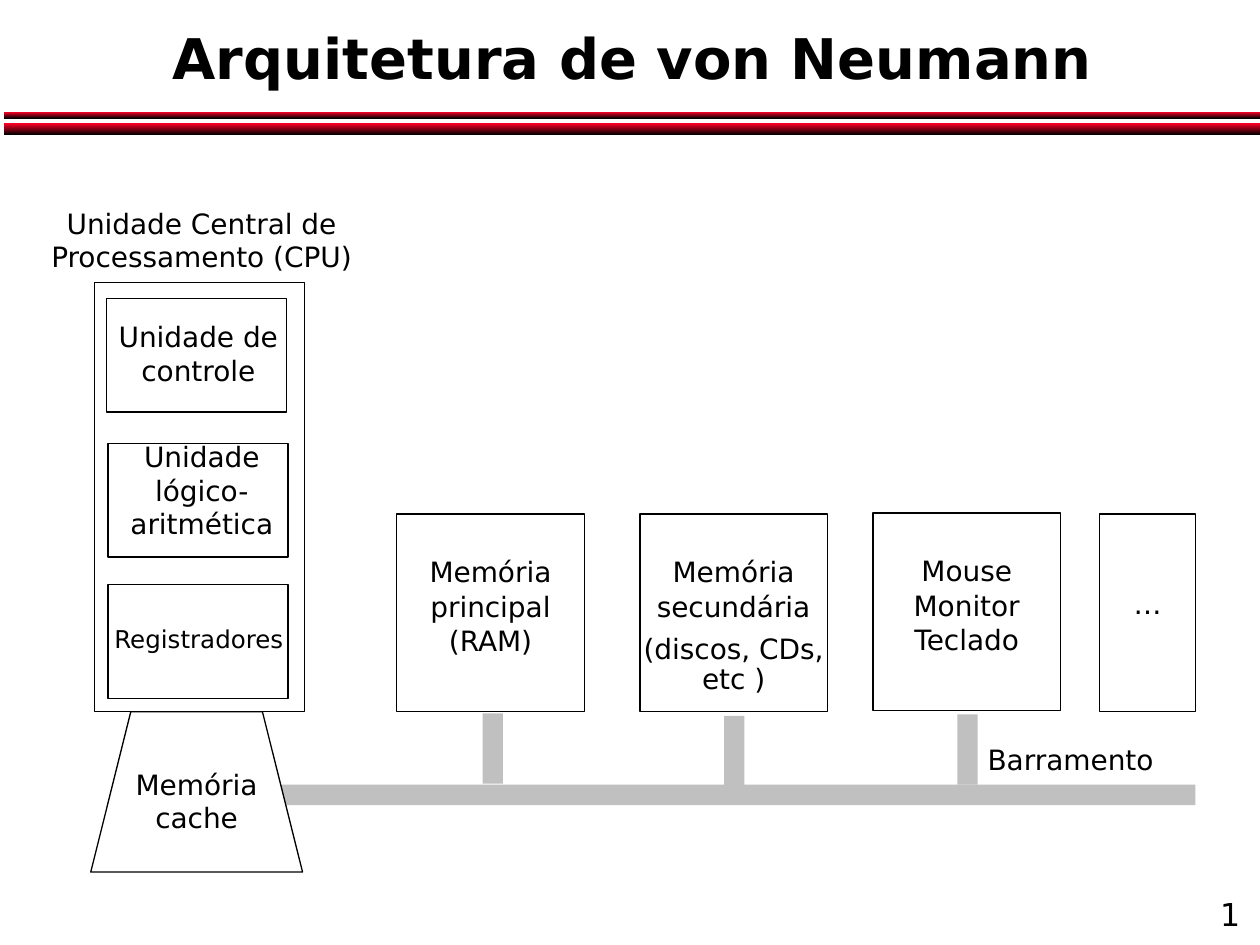
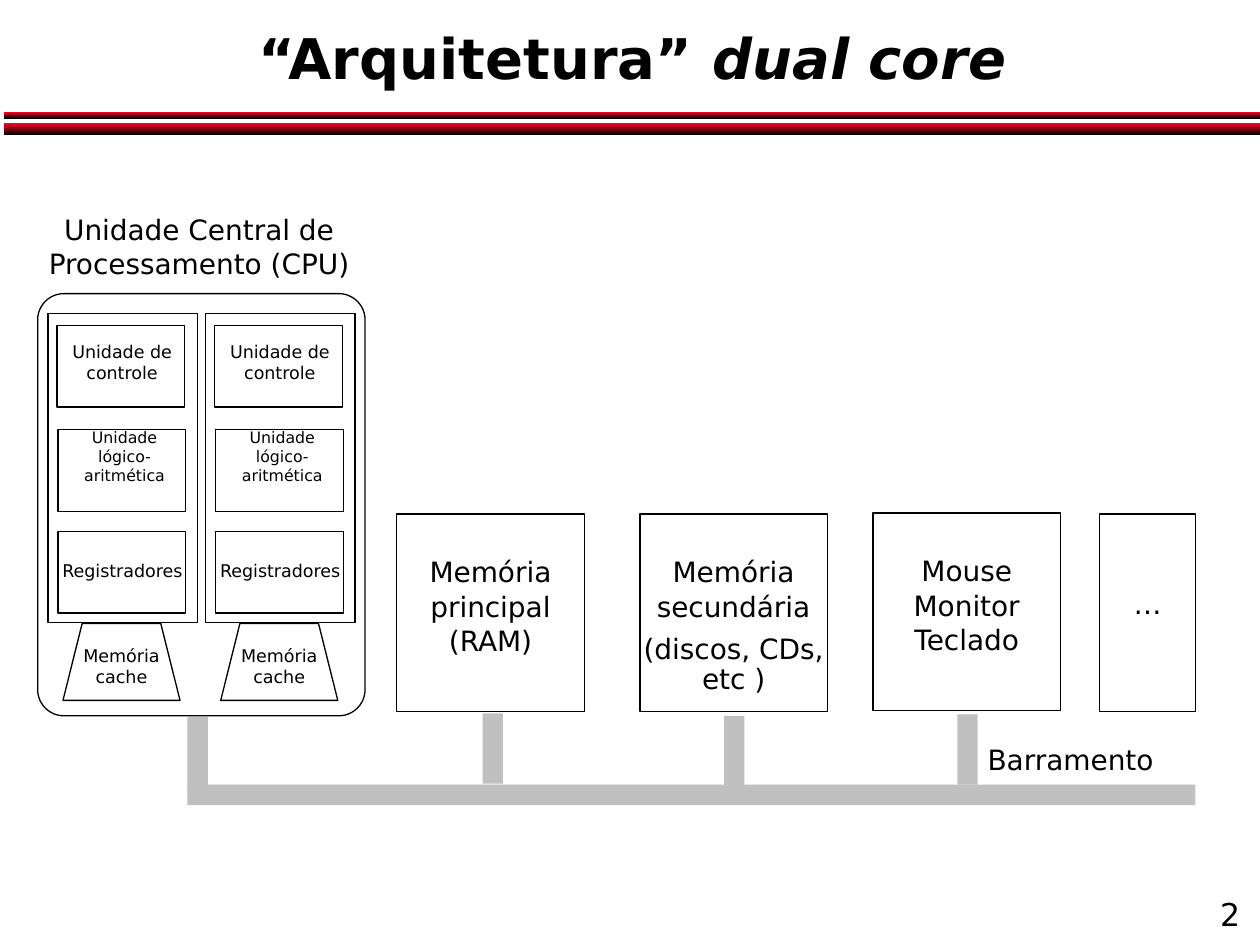
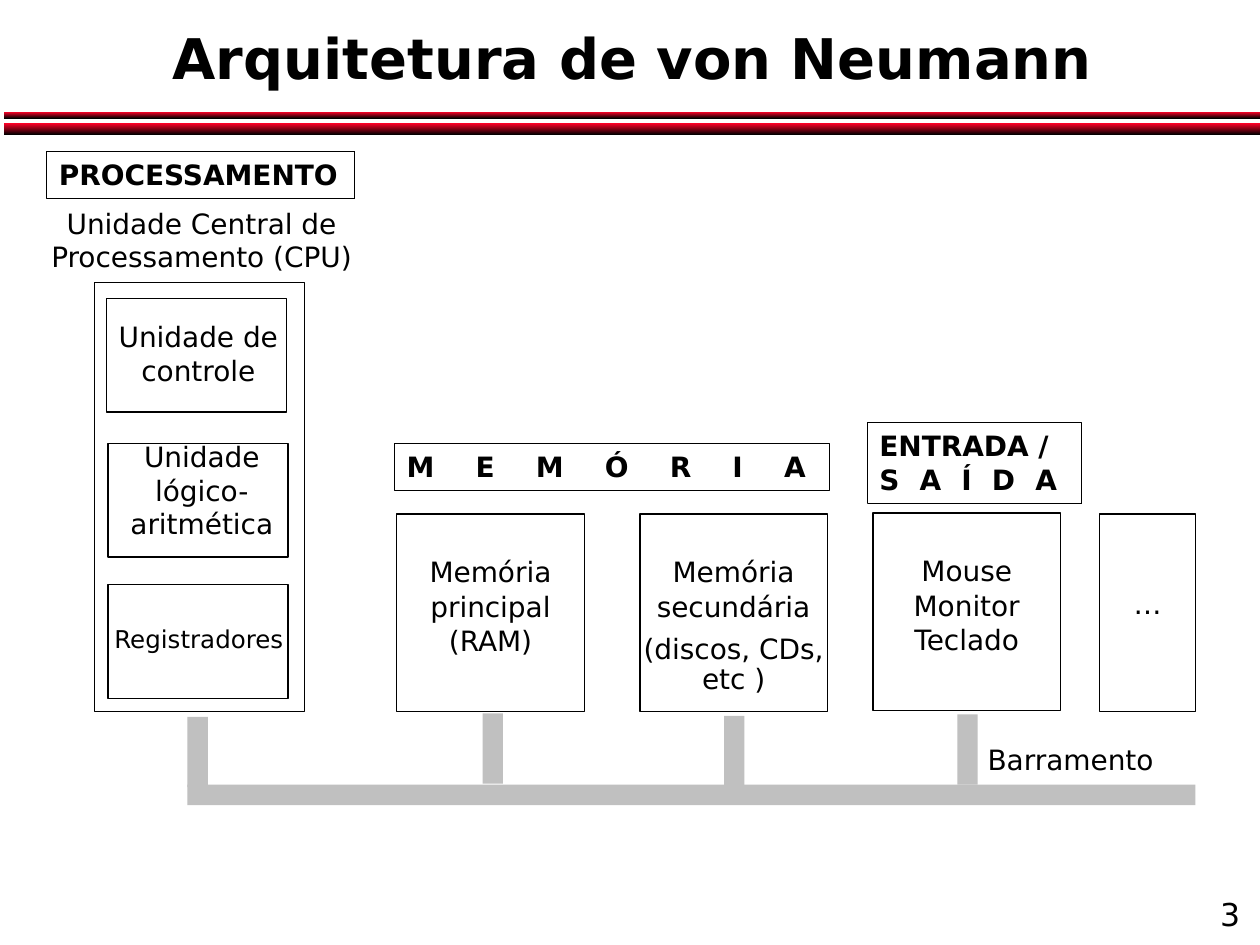
from pptx import Presentation
from pptx import util as u
from pptx.dml.color import RGBColor
from pptx.enum import dml, shapes, text
from pptx.oxml import parse_xml
from pptx.oxml.ns import nsdecls

FONT = "DejaVu Sans"
BLACK, WHITE, RED, GREY = "000000", "FFFFFF", "FC0128", "C0C0C0"
KIND = shapes.MSO_SHAPE
LEFT, MID, RIGHT = text.PP_ALIGN.LEFT, text.PP_ALIGN.CENTER, text.PP_ALIGN.RIGHT
THIN = (0.05,) * 4  # text margins: left, top, right, bottom
WIDE = (0.25, 0.13, 0.25, 0.13)


def color(code):
    return RGBColor.from_string(code)


def cm(*nums):
    return [u.Cm(n) for n in nums]


def style(run, size, bold=False, italic=False, space=0):
    font = run.font
    font.name, font.size = FONT, u.Pt(size)
    font.bold, font.italic = bold, italic
    font.color.rgb = color(BLACK)
    if space:  # letter spacing in points
        run._r.get_or_add_rPr().set("spc", str(space * 100))


def write(shape, words, size=16, align=MID, pad=THIN, wrap=True, gap=0,
          anchor=text.MSO_ANCHOR.TOP, **look):
    """Write one paragraph per line of words; gap is the space between them."""
    frame = shape.text_frame
    frame.word_wrap, frame.vertical_anchor = wrap, anchor
    (frame.margin_left, frame.margin_top,
     frame.margin_right, frame.margin_bottom) = cm(*pad)
    for i, line in enumerate(words.split("\n")):
        para = frame.add_paragraph() if i else frame.paragraphs[0]
        para.alignment = align
        para.space_before = u.Pt(gap if i else 0)
        run = para.add_run()
        run.text = line
        style(run, size, **look)
    return frame


def draw(slide, kind, place, fill=None, line=None, width=0.75):
    shape = slide.shapes.add_shape(kind, *cm(*place))
    shape.shadow.inherit = False
    if fill:
        shape.fill.solid()
        shape.fill.fore_color.rgb = color(fill)
    else:
        shape.fill.background()
    if line:
        shape.line.color.rgb = color(line)
        shape.line.width = u.Pt(width)
    else:
        shape.line.fill.background()
    return shape


def label(slide, place, words, **look):
    return write(slide.shapes.add_textbox(*cm(*place)), words, **look)


def frame_box(slide, place):
    return draw(slide, KIND.RECTANGLE, place, line=BLACK)


def start(deck, title, number, slant=""):
    """Add a slide with its title, red bands and number."""
    slide = deck.slides.add_slide(deck.slide_layouts[5])
    for top, high in ((2.49, 0.23), (2.26, 0.13)):
        band = draw(slide, KIND.RECTANGLE, (0.08, top, 25.32, high))
        band.fill.gradient()
        band.fill.gradient_angle = 270
        for stop, code in zip(band.fill.gradient_stops, (RED, BLACK)):
            stop.color.rgb = color(code)

    head = slide.shapes.title
    head.left, head.top, head.width, head.height = cm(0.74, 0, 24.03, 2.31)
    frame = write(head, title, size=32, pad=WIDE, bold=True,
                  anchor=text.MSO_ANCHOR.MIDDLE)
    if slant:
        run = frame.paragraphs[0].add_run()
        run.text = slant
        style(run, 32, bold=True, italic=True)

    # Slide number as a live field
    frame = label(slide, (23.47, 17.91, 1.78, 0.94), str(number), size=18,
                  align=RIGHT, pad=WIDE)
    run = frame.paragraphs[0].runs[0]._r
    field = parse_xml(f'<a:fld {nsdecls("a")} type="slidenum" '
                      'id="{B6F15528-21DE-4FAA-801E-634DDDAF4B2B}"/>')
    run.addprevious(field)
    field.extend(list(run))
    run.getparent().remove(run)
    return slide


def bus(slide):
    """The grey bus, its branches and its name."""
    draw(slide, KIND.RECTANGLE, (3.78, 15.82, 20.32, 0.41), fill=GREY)
    for left, top in ((3.78, 14.45), (9.73, 14.38), (14.6, 14.43), (19.3, 14.4)):
        draw(slide, KIND.RECTANGLE, (left, top, 0.41, 1.42), fill=GREY)
    label(slide, (19.86, 14.91, 3.76, 0.79), "Barramento", align=LEFT)


def units(slide):
    """Memory and device boxes above the bus."""
    rows = (
        (8, 10.36, 3.78, 0.81, "Memória\nprincipal\n(RAM)"),
        (12.9, 10.36, 3.78, 0.81, "Memória\nsecundária\n(discos, CDs, etc )"),
        (17.6, 10.34, 3.78, 0.81, "Mouse\nMonitor\nTeclado"),
        (22.17, 10.36, 1.93, 1.47, "…"),
    )
    for left, top, wide, drop, words in rows:
        box = frame_box(slide, (left, top, wide, 3.99))
        frame = write(box, words, pad=(0.05, drop, 0.05, 0.05), gap=0.8)
        if "discos" in words:
            last = frame.paragraphs[-1]
            last.line_spacing, last.space_before = 0.9, u.Pt(7)


def core(slide, left, top, sizes, wide=1, high=1):
    """A processor core; wide and high scale it."""
    def spot(x, y, w, h):
        return left + x * wide, top + y * high, w * wide, h * high

    frame_box(slide, spot(0, 0, 4.24, 8.66))
    parts = (
        ((0.25, 0.33), (0.41, 0.71, 3.38, 1.47), "Unidade de controle"),
        ((0.28, 3.25), (0.48, 3.12, 3.38, 2.13), "Unidade lógico-aritmética"),
        ((0.28, 6.1), (0.33, 6.83, 3.56, 0.69), "Registradores"),
    )
    for (x, y), place, words in parts:
        frame_box(slide, spot(x, y, 3.63, 2.29))
    for (_, place, words), size in zip(parts, sizes):
        label(slide, spot(*place), words, size=size, wrap=" " in words)


def cache(slide, place, size, drop):
    shape = draw(slide, KIND.TRAPEZOID, place, fill=WHITE, line=BLACK)
    write(shape, "Memória cache", size=size, pad=(0.05, drop, 0.05, 0.05))


def cpu(slide, left, top):
    label(slide, (left, top, 7.01, 1.47), "Unidade Central de Processamento (CPU)")


def single(slide):
    """The machine with one core."""
    bus(slide)
    units(slide)
    cpu(slide, 0.56, 4.11)
    core(slide, 1.9, 5.69, (16, 16, 14))


def tag(slide, place, words):
    """A dotted box that names a group."""
    box = draw(slide, KIND.RECTANGLE, place, line=BLACK, width=0.25)
    box.line.dash_style = dml.MSO_LINE.ROUND_DOT
    return write(box, words, align=LEFT, pad=(0.25, 0.13, 0, 0.13), bold=True)


def spread(para, space):
    style(para.runs[0], 16, bold=True, space=space)


def main():
    deck = Presentation()
    deck.slide_width, deck.slide_height = cm(25.4, 19.05)

    # One core with its cache
    slide = start(deck, "Arquitetura de von Neumann", 4)
    single(slide)
    cache(slide, (1.83, 14.35, 4.27, 3.23), 16, 0.71)

    # Two cores in one package
    slide = start(deck, "“Arquitetura” ", 5, slant="dual core")
    bus(slide)
    units(slide)
    cpu(slide, 0.51, 4.24)
    for i in range(2):
        shift = i * 3.18
        core(slide, 0.97 + shift, 6.32, (10, 9, 10), wide=0.71, high=0.72)
        cache(slide, (1.27 + shift, 12.57, 2.36, 1.55), 10, 0.27)
    case = draw(slide, KIND.ROUNDED_RECTANGLE, (0.76, 5.92, 6.6, 8.51), line=BLACK)
    case.adjustments[0] = 0.08

    # The three groups by name
    slide = start(deck, "Arquitetura de von Neumann", 6)
    single(slide)
    tag(slide, (0.94, 3.05, 6.2, 0.94), "PROCESSAMENTO")
    frame = tag(slide, (7.95, 8.94, 8.76, 0.94), "M E M Ó R I A")
    spread(frame.paragraphs[0], 9)
    frame = tag(slide, (17.48, 8.51, 4.32, 1.63), "ENTRADA /\nS A Í D A")
    spread(frame.paragraphs[1], 3)

    deck.save("out.pptx")


main()
